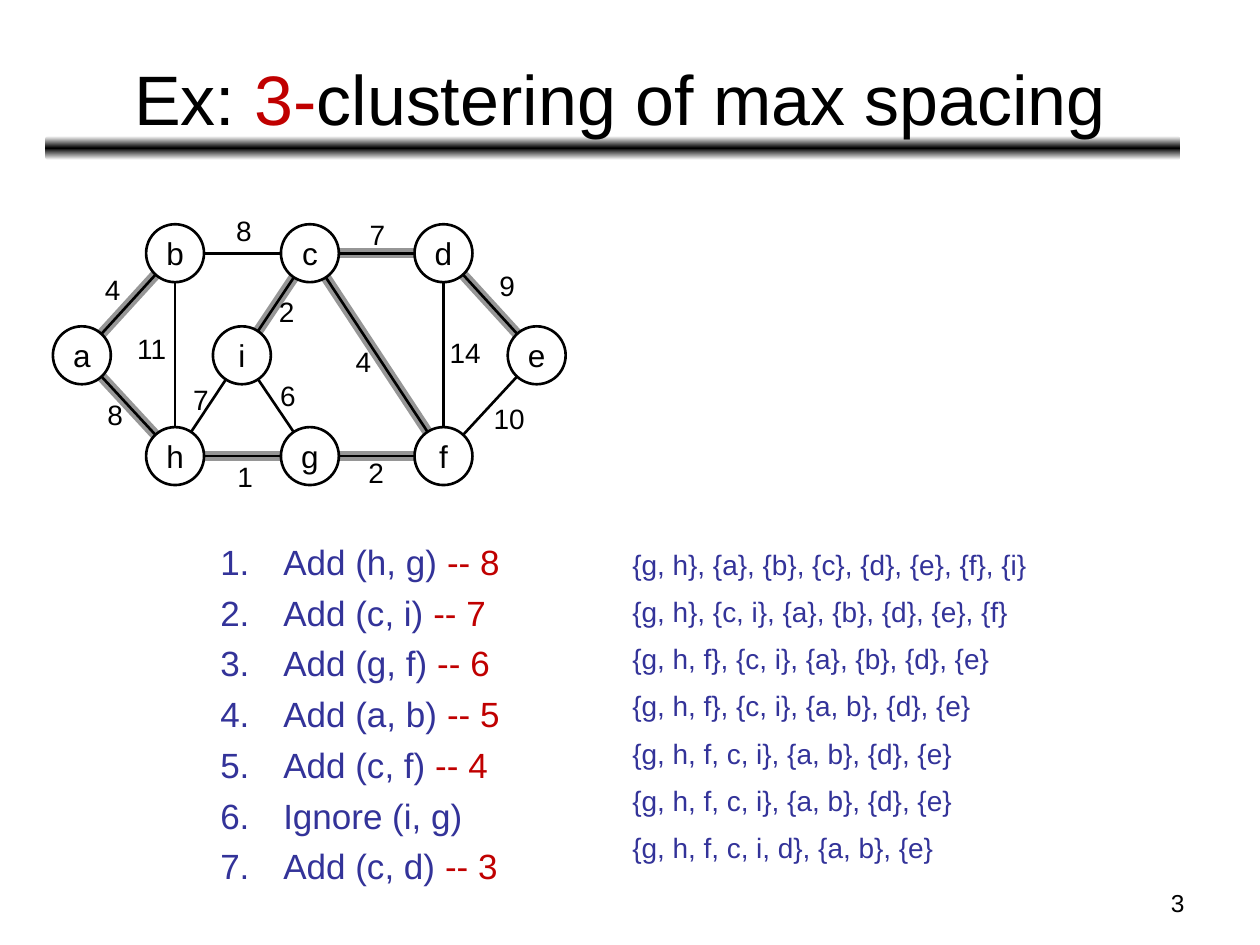
from copy import deepcopy
from math import hypot

from pptx import Presentation, util as u
from pptx.dml.color import RGBColor
from pptx.enum import shapes, text
from pptx.oxml.ns import qn

BLACK = RGBColor(0x00, 0x00, 0x00)
WHITE = RGBColor(0xFF, 0xFF, 0xFF)
GREY = RGBColor(0x96, 0x96, 0x96)
RED = RGBColor(0xC0, 0x00, 0x00)
INDIGO = RGBColor(0x33, 0x33, 0x99)

FONT = "Arial"
RADIUS = 0.23
COLUMNS = [0.65, 1.39, 1.92, 2.46, 3.52, 4.26]
ROWS = [2.01, 2.82, 3.62]

# node: (column, row)
NODES = {
    "a": (0, 1), "b": (1, 0), "c": (3, 0), "d": (4, 0), "e": (5, 1),
    "h": (1, 2), "g": (3, 2), "f": (4, 2), "i": (2, 1),
}
# edge: (weight, centre of the weight label)
EDGES = {
    "ab": (4, 0.90, 2.30), "bc": (8, 1.94, 1.83), "cd": (7, 3.00, 1.86),
    "ah": (8, 0.92, 3.29), "bh": (11, 1.22, 2.77), "hg": (1, 1.95, 3.78),
    "gf": (2, 2.99, 3.75), "hi": (7, 1.60, 3.17), "ci": (2, 2.28, 2.47),
    "cf": (4, 2.89, 2.87), "df": (14, 3.70, 2.80), "de": (9, 4.03, 2.27),
    "ef": (10, 4.05, 3.32), "ig": (6, 2.29, 3.14),
}
SPANNING_TREE = ["ah", "ab", "cd", "hg", "gf", "ci", "cf", "de"]

# step and the number of clusters left after it
STEPS = [
    ("Add (h, g) ", "-- 8"), ("Add (c, i) ", "-- 7"), ("Add (g, f) ", "-- 6"),
    ("Add (a, b) ", "-- 5"), ("Add (c, f) ", "-- 4"), ("Ignore (i, g)", ""),
    ("Add (c, d) ", "-- 3"),
]
CLUSTERS = [
    "{g, h}, {a}, {b}, {c}, {d}, {e}, {f}, {i}",
    "{g, h}, {c, i}, {a}, {b}, {d}, {e}, {f}",
    "{g, h, f}, {c, i}, {a}, {b}, {d}, {e}",
    "{g, h, f}, {c, i}, {a, b}, {d}, {e}",
    "{g, h, f, c, i}, {a, b}, {d}, {e}",
    "{g, h, f, c, i}, {a, b}, {d}, {e}",
    "{g, h, f, c, i, d}, {a, b}, {e}",
]


def inches(*lengths):
    return [u.Inches(length) for length in lengths]


def write(frame, paragraphs, size, align=None):
    """Fill a text frame; each paragraph is a list of (wording, colour)."""
    for number, runs in enumerate(paragraphs):
        paragraph = frame.add_paragraph() if number else frame.paragraphs[0]
        paragraph.alignment = align
        paragraph.font.name = FONT
        paragraph.font.size = u.Pt(size)
        for wording, colour in runs:
            run = paragraph.add_run()
            run.text = wording
            run.font.color.rgb = colour


def add_text(slide, at, paragraphs, size, align=None, wrap=True):
    frame = slide.shapes.add_textbox(*inches(*at)).text_frame
    frame.word_wrap = wrap
    write(frame, paragraphs, size, align)
    return frame


def hang(paragraph, number=False):
    """Give a paragraph a hanging indent, with an automatic number if asked."""
    properties = paragraph._p.get_or_add_pPr()
    properties.set("marL", str(u.Inches(0.5)))
    properties.set("indent", str(u.Inches(-0.5)))
    if number:
        colour = properties.makeelement(qn("a:buClr"), {})
        colour.append(colour.makeelement(qn("a:srgbClr"), {"val": str(INDIGO)}))
        scheme = properties.makeelement(qn("a:buAutoNum"), {"type": "arabicPeriod"})
        default_font = properties.find(qn("a:defRPr"))
        default_font.addprevious(colour)
        default_font.addprevious(scheme)


def add_title_rule(slide):
    rule = slide.shapes.add_shape(
        shapes.MSO_SHAPE.ROUNDED_RECTANGLE, *inches(0.36, 1.08, 9.01, 0.19))
    rule.shadow.inherit = False
    rule.line.fill.background()
    rule.fill.gradient()
    rule.fill.gradient_angle = 90
    first = rule._element.spPr.find(".//" + qn("a:gs"))
    first.addnext(deepcopy(first))
    shades = zip(rule.fill.gradient_stops, [0, 0.5, 1], [WHITE, BLACK, WHITE])
    for stop, position, colour in shades:
        stop.position = position
        stop.color.rgb = colour


def centre(node):
    column, row = NODES[node]
    return COLUMNS[column], ROWS[row]


def add_edge(slide, edge, colour, width):
    """Join two nodes, from rim to rim along the line between their centres."""
    (x1, y1), (x2, y2) = map(centre, edge)
    share = RADIUS / hypot(x2 - x1, y2 - y1)
    dx, dy = (x2 - x1) * share, (y2 - y1) * share
    line = slide.shapes.add_connector(
        shapes.MSO_CONNECTOR.STRAIGHT,
        *inches(x1 + dx, y1 + dy, x2 - dx, y2 - dy))
    line.line.color.rgb = colour
    line.line.width = u.Pt(width)
    properties = line._element.spPr
    properties.append(properties.makeelement(qn("a:effectLst"), {}))


def add_node(slide, node):
    x, y = centre(node)
    circle = slide.shapes.add_shape(
        shapes.MSO_SHAPE.OVAL,
        *inches(x - RADIUS, y - RADIUS, 2 * RADIUS, 2 * RADIUS))
    circle.shadow.inherit = False
    circle.fill.background()
    circle.line.color.rgb = BLACK
    circle.line.width = u.Pt(1.5)
    frame = circle.text_frame
    frame.word_wrap = False
    frame.vertical_anchor = text.MSO_ANCHOR.MIDDLE
    write(frame, [[(node, BLACK)]], 18, text.PP_ALIGN.CENTER)


def add_weight(slide, weight, x, y):
    label = str(weight)
    width, height = 0.2 + 0.13 * len(label), 0.37
    frame = add_text(slide, (x - width / 2, y - height / 2, width, height),
                     [[(label, BLACK)]], 16, wrap=False)
    frame.auto_size = text.MSO_AUTO_SIZE.SHAPE_TO_FIT_TEXT


def add_graph(slide):
    for edge in SPANNING_TREE:
        add_edge(slide, edge, GREY, 6)
    for node in NODES:
        add_node(slide, node)
    for edge in EDGES:
        add_edge(slide, edge, BLACK, 1.5)
    for weight, x, y in EDGES.values():
        add_weight(slide, weight, x, y)


def add_steps(slide):
    lines = [[(step, INDIGO)] + ([(left, RED)] if left else [])
             for step, left in STEPS]
    frame = add_text(slide, (1.65, 4.24, 2.63, 3.26), lines, 20)
    for paragraph in frame.paragraphs:
        paragraph.space_before = u.Pt(5)
        hang(paragraph, number=True)


def add_clusters(slide):
    lines = [[(clusters, INDIGO)] for clusters in CLUSTERS]
    frame = add_text(slide, (4.92, 4.24, 3.65, 2.83), lines, 16)
    for paragraph in frame.paragraphs:
        paragraph.line_spacing = 1.2
        paragraph.space_before = u.Pt(4)
        hang(paragraph)


def main():
    deck = Presentation()
    deck.slide_width, deck.slide_height = inches(10, 7.5)
    slide = deck.slides.add_slide(deck.slide_layouts[6])
    add_title_rule(slide)
    add_text(slide, (7.17, 7, 2.33, 0.35), [[("3", BLACK)]], 14,
             text.PP_ALIGN.RIGHT)
    title = [("Ex: ", BLACK), ("3-", RED), ("clustering of max spacing", BLACK)]
    heading = add_text(slide, (0.42, 0.28, 9, 0.99), [title], 40,
                       text.PP_ALIGN.CENTER)
    heading.vertical_anchor = text.MSO_ANCHOR.MIDDLE
    add_steps(slide)
    add_graph(slide)
    add_clusters(slide)
    deck.save("out.pptx")


if __name__ == "__main__":
    main()
